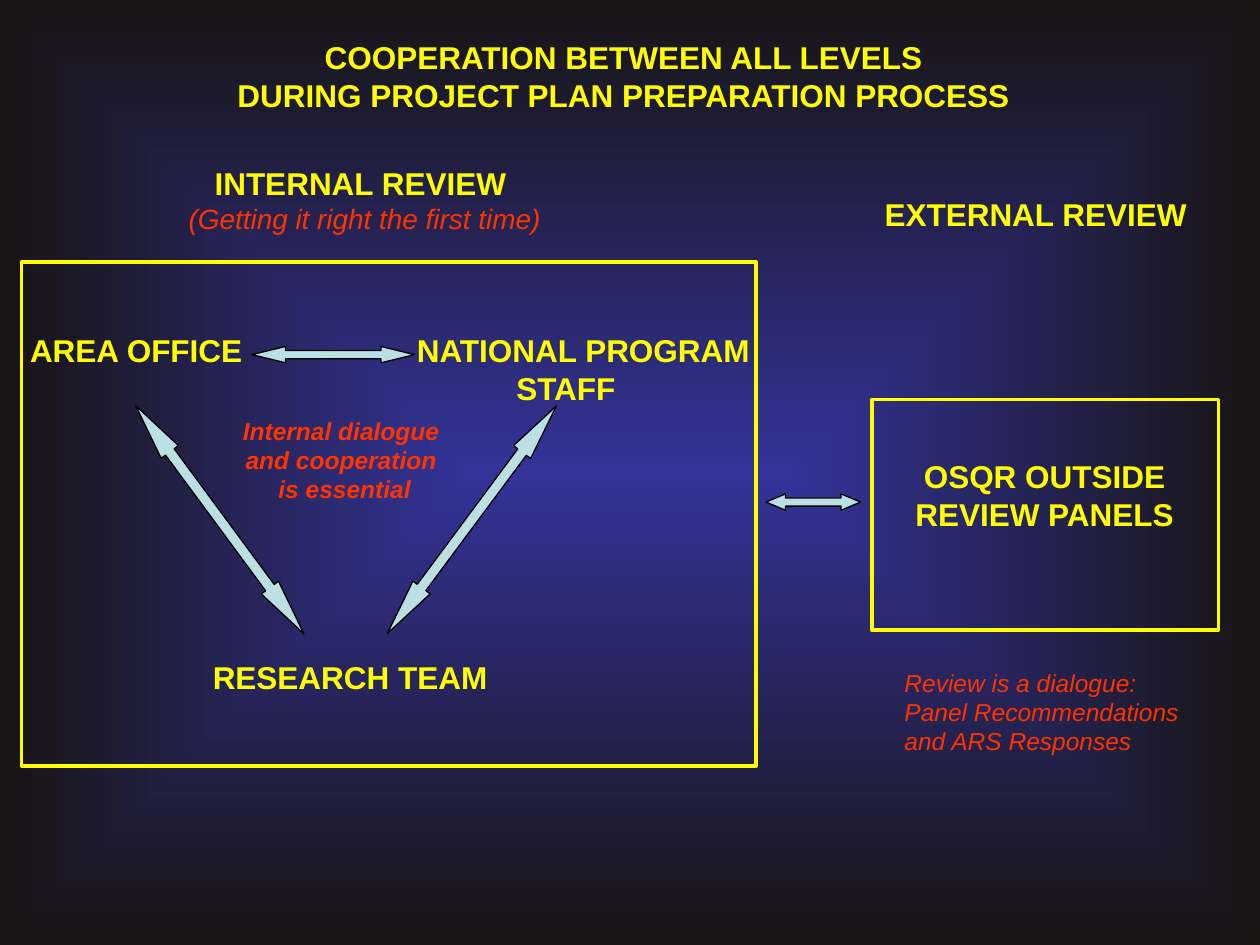
import pptx
import pptx.dml.color
import pptx.enum.shapes
import pptx.enum.text
import pptx.oxml
import pptx.oxml.ns
import pptx.util
from lxml import etree

Inches = pptx.util.Inches
Pt = pptx.util.Pt
SHAPES = pptx.enum.shapes.MSO_SHAPE
ALIGN = pptx.enum.text.PP_ALIGN

YELLOW, RED, PALE, BLACK = "FFFF00", "FF3300", "BBE0E3", "000000"
CENTRE, EDGE = "333399", "181413"

HEADING = dict(size=18, colour=YELLOW, bold=True, italic=False)
SUBHEAD = dict(size=16, colour=RED, bold=False, italic=True)
REMARK = dict(size=14, colour=RED, bold=False, italic=True)
STRONG_REMARK = dict(REMARK, bold=True)

TITLE = (1.77, 0.25, 6.36, 0.7)
TITLE_LINES = ["COOPERATION BETWEEN ALL LEVELS",
               "DURING PROJECT PLAN PREPARATION PROCESS"]

# place, alignment, wrap, lines, one style per line (the last one repeats)
TEXTS = [
    ((1.4, 1.25, 2.99, 0.67), ALIGN.CENTER, False,
     ["INTERNAL REVIEW ", "(Getting it right the first time)"], [HEADING, SUBHEAD]),
    ((0.14, 2.58, 6, 0.7), ALIGN.LEFT, True,
     ["AREA OFFICE\tNATIONAL PROGRAM", "\tSTAFF"], [HEADING]),
    ((1.59, 5.17, 2.38, 0.4), ALIGN.LEFT, False, ["RESEARCH TEAM"], [HEADING]),
    ((6.92, 1.5, 2.6, 0.7), ALIGN.CENTER, False, ["EXTERNAL REVIEW"], [HEADING]),
    ((6.83, 3.58, 2.92, 0.7), ALIGN.CENTER, True,
     ["OSQR OUTSIDE REVIEW PANELS"], [HEADING]),
    ((1.83, 3.25, 1.81, 0.8), ALIGN.CENTER, False,
     ["Internal dialogue ", "and cooperation ", "is essential"], [STRONG_REMARK]),
    ((7.08, 5.25, 2.43, 0.8), ALIGN.LEFT, False,
     ["Review is a dialogue:", "Panel Recommendations", "and ARS Responses"], [REMARK]),
]
# Where the text after the tab starts, from the left of the text
TAB_STOPS = {"AREA OFFICE\tNATIONAL PROGRAM": 3.07, "\tSTAFF": 3.86}

FRAMES = [(0.17, 2.08, 5.83, 4), (6.92, 3.17, 2.75, 1.83)]

# place, rotation, head length relative to arrow height
ARROWS = [
    ((2.62, 4.04, 2.25, 0.17), 306.6, 2.68),
    ((0.62, 4.04, 2.25, 0.17), 233.6, 2.68),
    ((2, 2.75, 1.29, 0.13), 0, 2.05),
    ((6.08, 3.92, 0.75, 0.13), 0, 1.19),
]


def rgb(colour):
    return pptx.dml.color.RGBColor.from_string(colour)


def lengths(place):
    return [Inches(value) for value in place]


def paint_background(slide):
    """Fill the slide with a rectangular gradient from the centre outwards."""
    fill = slide.background.fill
    fill.gradient()
    for stop, position, colour in zip(fill.gradient_stops, (0, 1), (CENTRE, EDGE)):
        stop.position = position
        stop.color.rgb = rgb(colour)
    linear = next(slide.element.iter(pptx.oxml.ns.qn("a:lin")))
    rectangular = pptx.oxml.parse_xml(
        f'<a:path {pptx.oxml.ns.nsdecls("a")} path="rect">'
        '<a:fillToRect l="50000" t="50000" r="50000" b="50000"/></a:path>')
    linear.getparent().replace(linear, rectangular)


def add_tab_stop(para, position):
    properties = para._p.get_or_add_pPr()
    stops = etree.SubElement(properties, pptx.oxml.ns.qn("a:tabLst"))
    etree.SubElement(stops, pptx.oxml.ns.qn("a:tab"),
                     pos=str(Inches(position)), algn="l")


def write(box, lines, styles, alignment, wrap):
    frame = box.text_frame
    frame.text = "\n".join(lines)
    frame.word_wrap = wrap
    frame.auto_size = pptx.enum.text.MSO_AUTO_SIZE.NONE
    frame.vertical_anchor = pptx.enum.text.MSO_ANCHOR.TOP
    for index, para in enumerate(frame.paragraphs):
        style = styles[min(index, len(styles) - 1)]
        para.alignment = alignment
        if para.text in TAB_STOPS:
            add_tab_stop(para, TAB_STOPS[para.text])
        for span in para.runs:
            span.font.name = "Arial"
            span.font.size = Pt(style["size"])
            span.font.bold = style["bold"]
            span.font.italic = style["italic"]
            span.font.color.rgb = rgb(style["colour"])


def add_shape(slide, kind, place, fill, line, width):
    shape = slide.shapes.add_shape(kind, *lengths(place))
    shape.shadow.inherit = False
    if fill:
        shape.fill.solid()
        shape.fill.fore_color.rgb = rgb(fill)
    else:
        shape.fill.background()
    shape.line.color.rgb = rgb(line)
    shape.line.width = Pt(width)
    return shape


def main():
    deck = pptx.Presentation()
    deck.slide_width, deck.slide_height = Inches(10), Inches(7.5)
    slide = deck.slides.add_slide(deck.slide_layouts[5])
    paint_background(slide)

    title = slide.shapes.title
    title.left, title.top, title.width, title.height = lengths(TITLE)
    write(title, TITLE_LINES, [HEADING], ALIGN.CENTER, False)

    for place, rotation, head in ARROWS:
        arrow = add_shape(slide, SHAPES.LEFT_RIGHT_ARROW, place, PALE, BLACK, 0.75)
        arrow.rotation = rotation
        arrow.adjustments[0] = 0.5
        arrow.adjustments[1] = head
    for place in FRAMES:
        add_shape(slide, SHAPES.RECTANGLE, place, None, YELLOW, 2)
    for place, alignment, wrap, lines, styles in TEXTS:
        box = slide.shapes.add_textbox(*lengths(place))
        write(box, lines, styles, alignment, wrap)

    deck.save("out.pptx")


if __name__ == "__main__":
    main()
